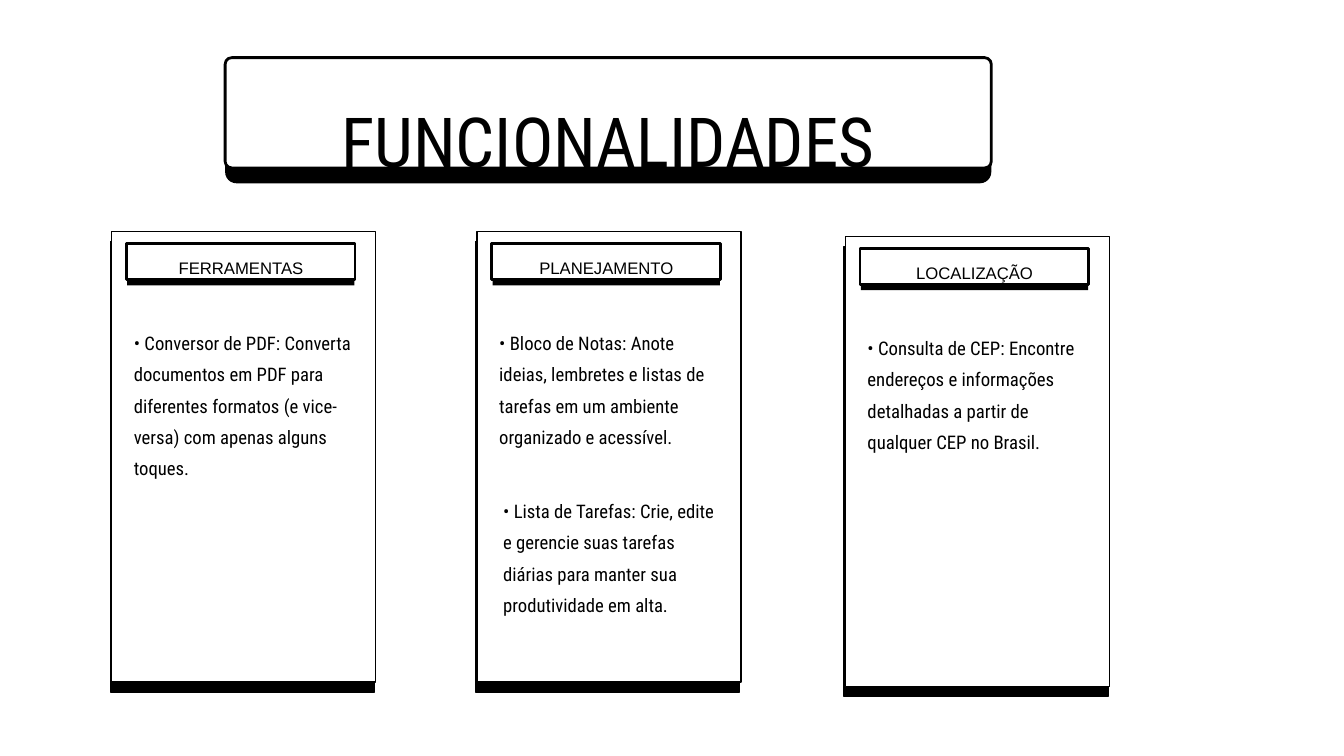
from pptx import Presentation
from pptx.dml.color import RGBColor
from pptx.enum.shapes import MSO_SHAPE as Shape
from pptx.enum.text import MSO_AUTO_SIZE as AutoSize, PP_ALIGN as Align
from pptx.util import Cm, Pt

COLORS = {"ink": "000000", "paper": "FFFFFF"}
BODY_FONT, LABEL_FONT = "Roboto Condensed", "Arial"

TITLE = "FUNCIONALIDADES"
# Card positions and note boxes in cm; each note is (text, indent, drop, height, size)
CARDS = [
    {"label": "FERRAMENTAS", "left": 4.17, "top": 9.14, "label_height": 1.68, "notes": [
        ("• Conversor de PDF: Converta documentos em PDF para diferentes formatos "
         "(e vice-versa) com apenas alguns toques.", 0.89, 3.07, 6.83, 20)]},
    {"label": "PLANEJAMENTO", "left": 17.98, "top": 9.14, "label_height": 0.81, "notes": [
        ("• Bloco de Notas: Anote ideias, lembretes e listas de tarefas em um "
         "ambiente organizado e acessível.", 0.89, 3.07, 5.64, 20),
        ("• Lista de Tarefas: Crie, edite e gerencie suas tarefas diárias para "
         "manter sua produtividade em alta.", 1.04, 9.42, 5.64, 20)]},
    {"label": "LOCALIZAÇÃO", "left": 31.9, "top": 9.32, "label_height": 0.81, "notes": [
        ("• Consulta de CEP: Encontre endereços e informações detalhadas a partir "
         "de qualquer CEP no Brasil.", 0.89, 3.07, 5.66, 20.1)]},
]
# Card layers from back to front: dx, dy, width, height, fill, line width
CARD_LAYERS = [
    (0, 0, 9.98, 17.02, "ink", 1.5),
    (0.05, -0.38, 9.98, 17.02, "paper", 1.5),
    (0.64, 0.2, 8.59, 1.45, "ink", 0),
    (0.61, 0.08, 8.64, 1.35, "paper", 3),
]


def color(name):
    return RGBColor.from_string(COLORS[name])


def add_panel(slide, left, top, width, height, fill, line_width, radius=0):
    """Draw a filled box; radius is a share of its height."""
    kind = Shape.ROUNDED_RECTANGLE if radius else Shape.RECTANGLE
    panel = slide.shapes.add_shape(kind, Cm(left), Cm(top), Cm(width), Cm(height))
    if radius:
        panel.adjustments[0] = radius
    panel.shadow.inherit = False
    panel.fill.solid()
    panel.fill.fore_color.rgb = color(fill)
    if line_width:
        panel.line.color.rgb = color("ink")
        panel.line.width = Pt(line_width)
    else:
        panel.line.fill.background()


def add_text(slide, text, left, top, width, height, size, font, align=Align.LEFT):
    frame = slide.shapes.add_textbox(Cm(left), Cm(top), Cm(width), Cm(height)).text_frame
    frame.margin_left = frame.margin_right = frame.margin_top = frame.margin_bottom = 0
    frame.word_wrap = True
    frame.auto_size = AutoSize.SHAPE_TO_FIT_TEXT
    frame.text = text
    paragraph = frame.paragraphs[0]
    paragraph.alignment = align
    paragraph.line_spacing = 1.4
    run_font = paragraph.runs[0].font
    run_font.name = font
    run_font.size = Pt(size)
    run_font.color.rgb = color("ink")


def add_card(slide, card):
    left, top = card["left"], card["top"]
    for dx, dy, *look in CARD_LAYERS:
        add_panel(slide, left + dx, top + dy, *look)
    for text, indent, drop, height, size in card["notes"]:
        add_text(slide, text, left + indent, top + drop, 8.28, height, size, BODY_FONT)
    add_text(slide, card["label"], left + 0.56, top + 0.3, 8.76, card["label_height"],
             17.9, LABEL_FONT, Align.CENTER)


def main():
    deck = Presentation()
    deck.slide_width, deck.slide_height = Cm(50.8), Cm(28.58)
    slide = deck.slides.add_slide(deck.slide_layouts[6])
    add_panel(slide, 8.51, 2.18, 28.96, 4.75, "ink", 0, radius=0.09)
    add_panel(slide, 8.51, 2.18, 28.96, 4.17, "paper", 3, radius=0.06)
    for card in CARDS:
        add_card(slide, card)
    add_text(slide, TITLE, 6.68, 2.49, 32.61, 3.15, 73.9, BODY_FONT, Align.CENTER)
    deck.save("out.pptx")


if __name__ == "__main__":
    main()
